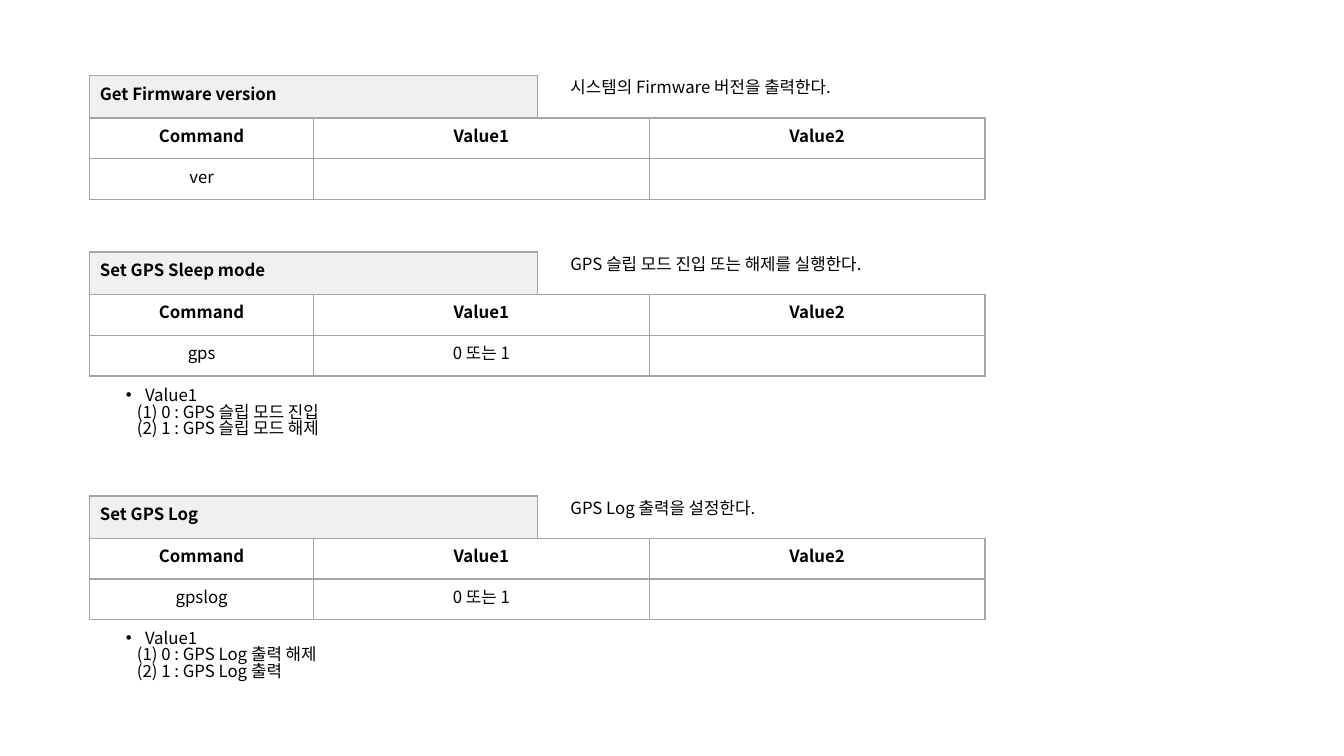
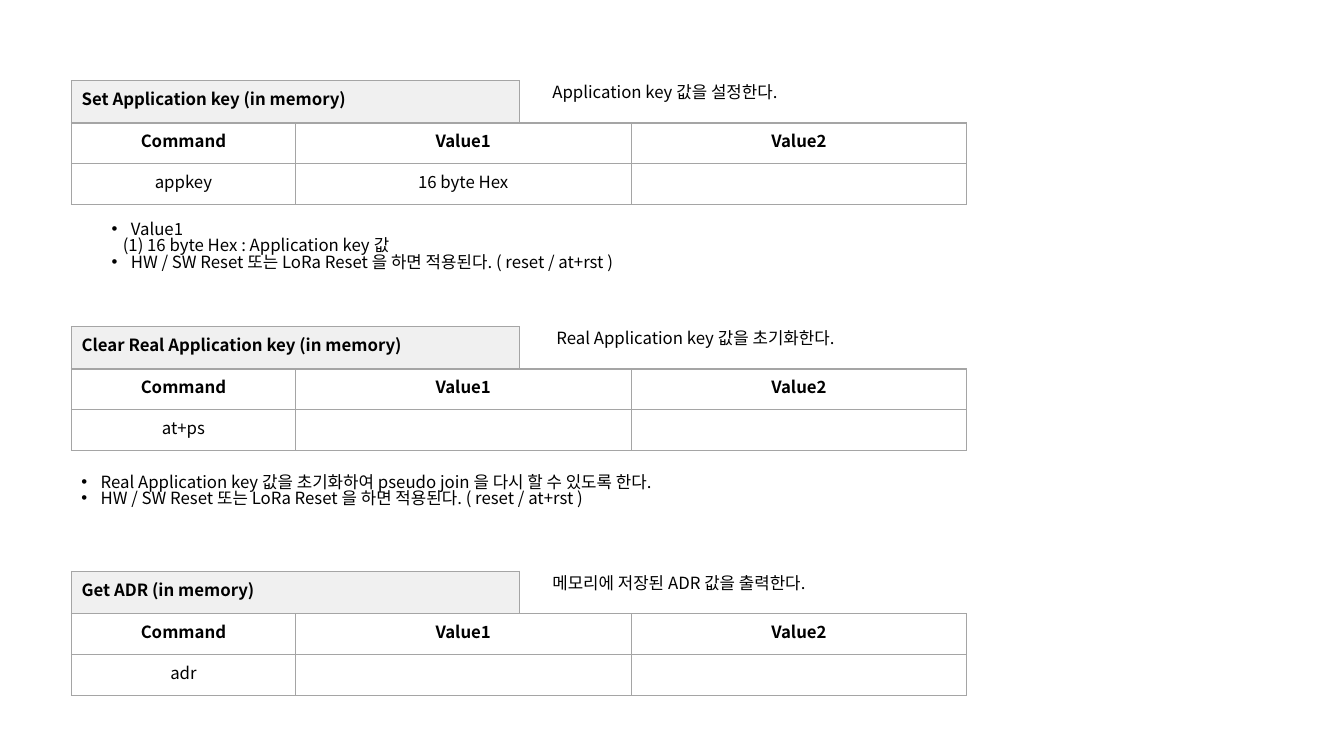
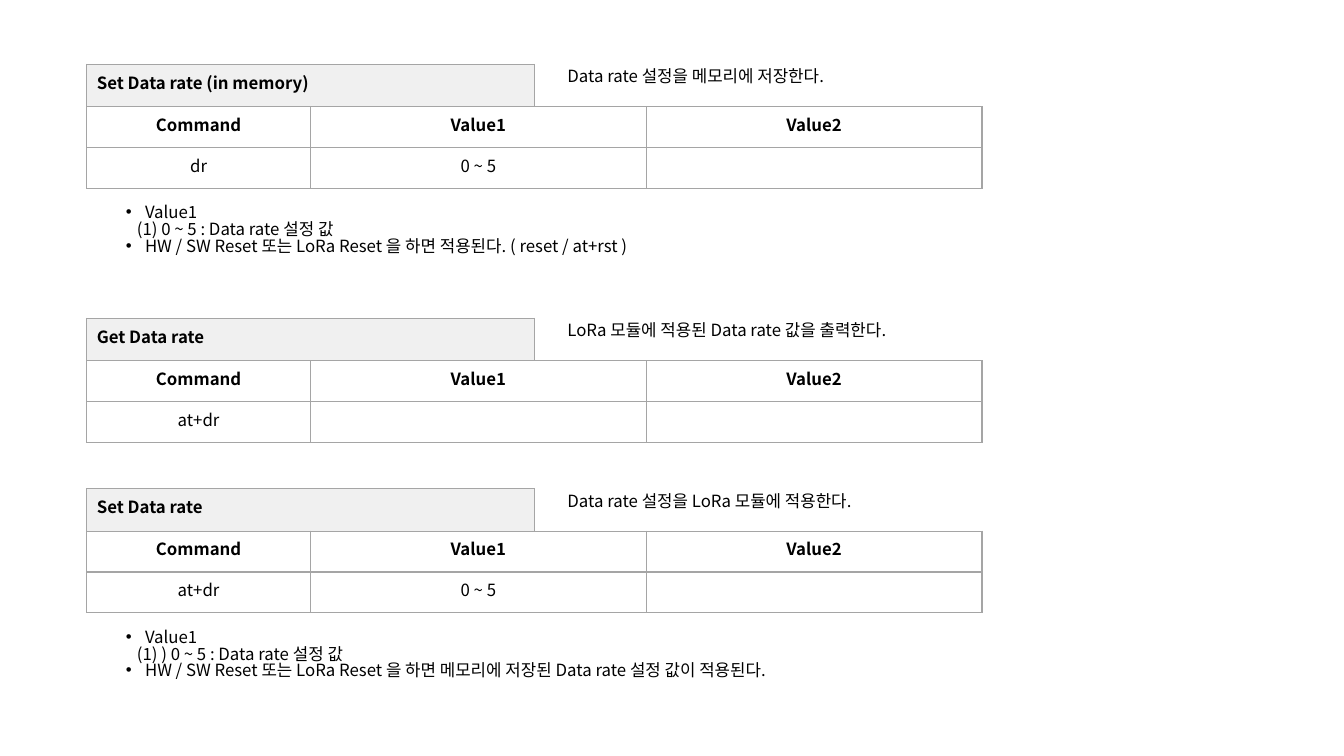
"""Build three pages of command reference tables."""
import dataclasses
import typing

import lxml.etree
import pptx
import pptx.dml.color
import pptx.enum.text
import pptx.oxml.ns
import pptx.util

Inches = pptx.util.Inches
qn = pptx.oxml.ns.qn


@dataclasses.dataclass(frozen=True)
class Theme:
    """Colours, type and measures shared by all pages."""

    font: str = "Noto Sans CJK KR"
    size: int = 12
    ink: str = "000000"
    border: str = "A5A5A5"
    band: str = "F0F0F0"
    line_width: int = 1
    line_spacing: float = 0.83
    title_width: float = 4.44
    title_height: float = 0.42
    row_height: float = 0.405
    columns: tuple = (2.22, 3.33, 3.33)
    summary_offset: float = 4.67
    bullet_indent: float = 0.19
    item_indent: float = 0.11


@dataclasses.dataclass(frozen=True)
class Notes:
    """Remarks under a command table; lines opening with a bracket are items."""

    left: float
    top: float
    width: float
    lines: tuple


@dataclasses.dataclass(frozen=True)
class Command:
    """One command with its title, summary, values and remarks."""

    top: float
    title: str
    summary: str
    summary_width: float
    values: tuple
    notes: typing.Optional[Notes] = None
    summary_shift: float = 0


THEME = Theme()
HEADINGS = ("Command", "Value1", "Value2")
RESET_NOTE = "HW / SW Reset 또는 LoRa Reset 을 하면 적용된다. ( reset / at+rst )"

PAGES = (
    (0.89, (
        Command(0.75, "Get Firmware version", "시스템의 Firmware 버전을 출력한다.", 2.96,
                ("ver", "", "")),
        Command(2.5, "Set GPS Sleep mode", "GPS 슬립 모드 진입 또는 해제를 실행한다.", 3.46,
                ("gps", "0 또는 1", ""),
                Notes(1.15, 3.8, 2.38, ("Value1", "(1) 0 : GPS 슬립 모드 진입",
                                        "(2) 1 : GPS 슬립 모드 해제"))),
        Command(4.92, "Set GPS Log", "GPS Log 출력을 설정한다.", 2.18,
                ("gpslog", "0 또는 1", ""),
                Notes(1.15, 6.21, 2.38, ("Value1", "(1) 0 : GPS Log 출력 해제",
                                         "(2) 1 : GPS Log 출력"))),
    )),
    (0.71, (
        Command(0.8, "Set Application key (in memory)", "Application key 값을 설정한다.", 2.61,
                ("appkey", "16 byte Hex", ""),
                Notes(1.01, 2.15, 5.56, ("Value1", "(1) 16 byte Hex : Application key 값",
                                         RESET_NOTE))),
        Command(3.24, "Clear Real Application key (in memory)",
                "Real Application key 값을 초기화한다.", 3.23, ("at+ps", "", ""),
                Notes(0.71, 4.66, 6.29,
                      ("Real Application key 값을 초기화하여 pseudo join 을 다시 할 수 있도록 한다.",
                       RESET_NOTE)),
                summary_shift=0.04),
        Command(5.67, "Get ADR (in memory)", "메모리에 저장된 ADR 값을 출력한다.", 3.04,
                ("adr", "", "")),
    )),
    (0.86, (
        Command(0.64, "Set Data rate (in memory)", "Data rate 설정을 메모리에 저장한다.", 3.04,
                ("dr", "0 ~ 5", ""),
                Notes(1.15, 1.99, 5.56, ("Value1", "(1) 0 ~ 5 : Data rate 설정 값",
                                         RESET_NOTE))),
        Command(3.16, "Get Data rate", "LoRa 모듈에 적용된 Data rate 값을 출력한다.", 3.64,
                ("at+dr", "", "")),
        Command(4.85, "Set Data rate", "Data rate 설정을 LoRa 모듈에 적용한다.", 3.24,
                ("at+dr", "0 ~ 5", ""),
                Notes(1.15, 6.2, 7.19,
                      ("Value1", "(1) ) 0 ~ 5 : Data rate 설정 값",
                       "HW / SW Reset 또는 LoRa Reset 을 하면 메모리에 저장된 "
                       "Data rate 설정 값이 적용된다."))),
    )),
)


def apply_format(target, values):
    """Set every named attribute on the target."""
    for name, value in values.items():
        setattr(target, name, value)


def add_element(parent, tag, **attributes):
    """Append a drawing element with the given attributes."""
    element = lxml.etree.SubElement(parent, qn(tag))
    for name, value in attributes.items():
        element.set(name, str(value))
    return element


def write_span(para, text, bold=False):
    """Write one span in the theme type."""
    if not text:
        add_element(para._p, "a:endParaRPr", sz=THEME.size * 100)
        return
    span = para.add_run()
    span.text = text
    apply_format(span.font, {"name": THEME.font, "size": pptx.util.Pt(THEME.size), "bold": bold})
    span.font.color.rgb = pptx.dml.color.RGBColor.from_string(THEME.ink)
    add_element(span._r.get_or_add_rPr(), "a:ea", typeface=THEME.font)


def add_borders(cell):
    """Draw a thin line on all four sides of a cell."""
    properties = cell._tc.get_or_add_tcPr()
    for side in ("a:lnL", "a:lnR", "a:lnT", "a:lnB"):
        line = add_element(properties, side, w=pptx.util.Pt(THEME.line_width))
        fill = add_element(line, "a:solidFill")
        add_element(fill, "a:srgbClr", val=THEME.border)


def fill_cell(cell, text, bold, align, fill):
    """Give a cell its text, borders and fill."""
    para = cell.text_frame.paragraphs[0]
    para.alignment = align
    write_span(para, text, bold)
    add_borders(cell)
    if fill:
        cell.fill.solid()
        cell.fill.fore_color.rgb = pptx.dml.color.RGBColor.from_string(fill)
    else:
        cell.fill.background()


def add_grid(page, left, top, widths, row_height, rows, align, fill=None):
    """Add a bordered table whose first row is bold."""
    frame = page.shapes.add_table(
        len(rows), len(widths), Inches(left), Inches(top),
        Inches(sum(widths)), Inches(row_height * len(rows)))
    table = frame.table
    apply_format(table, {"first_row": False, "horz_banding": False})
    for column, width in zip(table.columns, widths):
        column.width = Inches(width)
    for index, (row, texts) in enumerate(zip(table.rows, rows)):
        row.height = Inches(row_height)
        for cell, text in zip(row.cells, texts):
            fill_cell(cell, text, index == 0, align, fill)


def indent_note(para, text):
    """Indent an item line, or hang a bullet on any other line."""
    properties = para._p.get_or_add_pPr()
    if text.startswith("("):
        properties.set("marL", str(Inches(THEME.item_indent)))
        return
    indent = Inches(THEME.bullet_indent)
    properties.set("marL", str(indent))
    properties.set("indent", str(-indent))
    add_element(properties, "a:buFont", typeface="Arial")
    add_element(properties, "a:buChar", char="•")


def add_text(page, left, top, width, lines, notes=False):
    """Add an unwrapped text box that fits its lines."""
    height = 0.1 + 0.2 * len(lines)
    box = page.shapes.add_textbox(Inches(left), Inches(top), Inches(width), Inches(height))
    frame = box.text_frame
    apply_format(frame, {"word_wrap": False,
                         "auto_size": pptx.enum.text.MSO_AUTO_SIZE.SHAPE_TO_FIT_TEXT})
    for index, text in enumerate(lines):
        para = frame.add_paragraph() if index else frame.paragraphs[0]
        para.line_spacing = THEME.line_spacing
        if notes:
            indent_note(para, text)
        write_span(para, text)


def add_command(page, left, command):
    """Add the title band, summary, value table and remarks of a command."""
    align = pptx.enum.text.PP_ALIGN
    add_grid(page, left, command.top, (THEME.title_width,), THEME.title_height,
             ((command.title,),), align.LEFT, THEME.band)
    add_text(page, left + THEME.summary_offset + command.summary_shift, command.top,
             command.summary_width, (command.summary,))
    add_grid(page, left, command.top + THEME.title_height, THEME.columns, THEME.row_height,
             (HEADINGS, command.values), align.CENTER)
    if command.notes:
        notes = command.notes
        add_text(page, notes.left, notes.top, notes.width, notes.lines, notes=True)


def main():
    """Build and save the deck."""
    deck = pptx.Presentation()
    apply_format(deck, {"slide_width": Inches(13.33), "slide_height": Inches(7.5)})
    for left, commands in PAGES:
        page = deck.slides.add_slide(deck.slide_layouts[6])
        for command in commands:
            add_command(page, left, command)
    deck.save("out.pptx")


if __name__ == "__main__":
    main()
